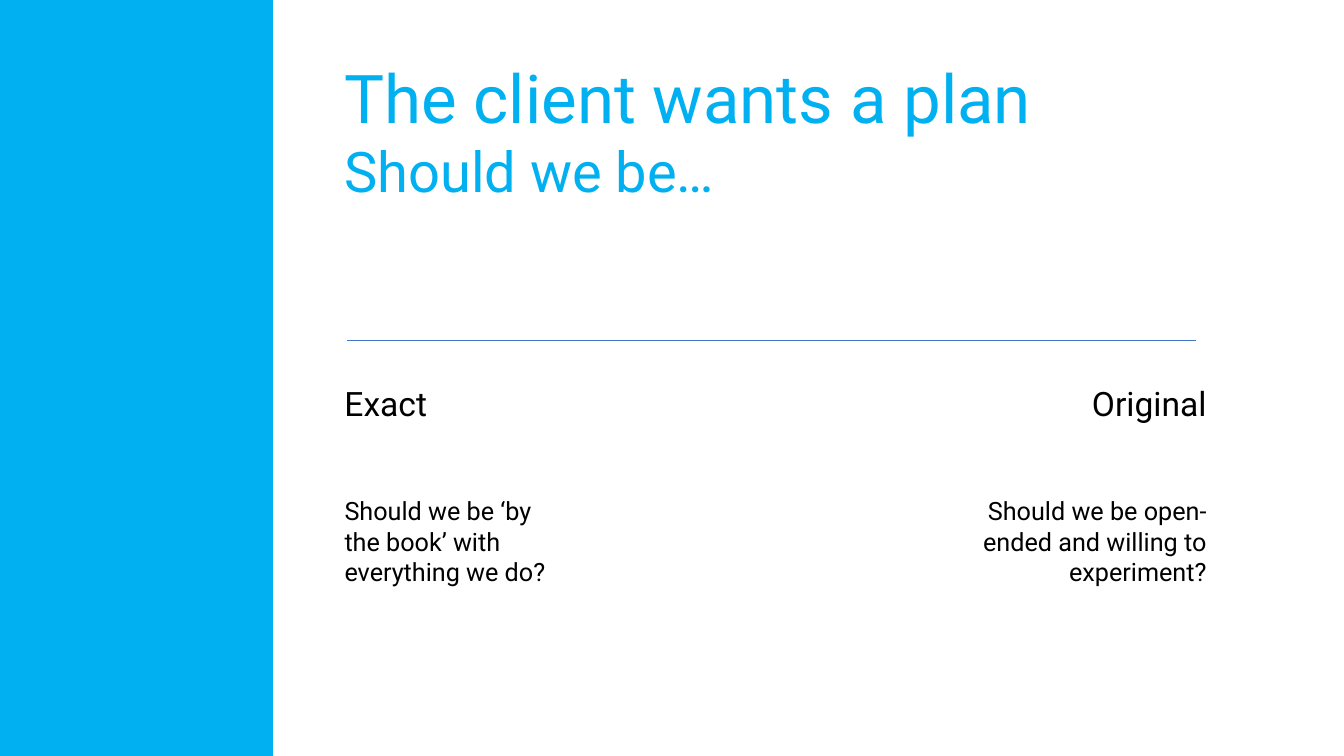
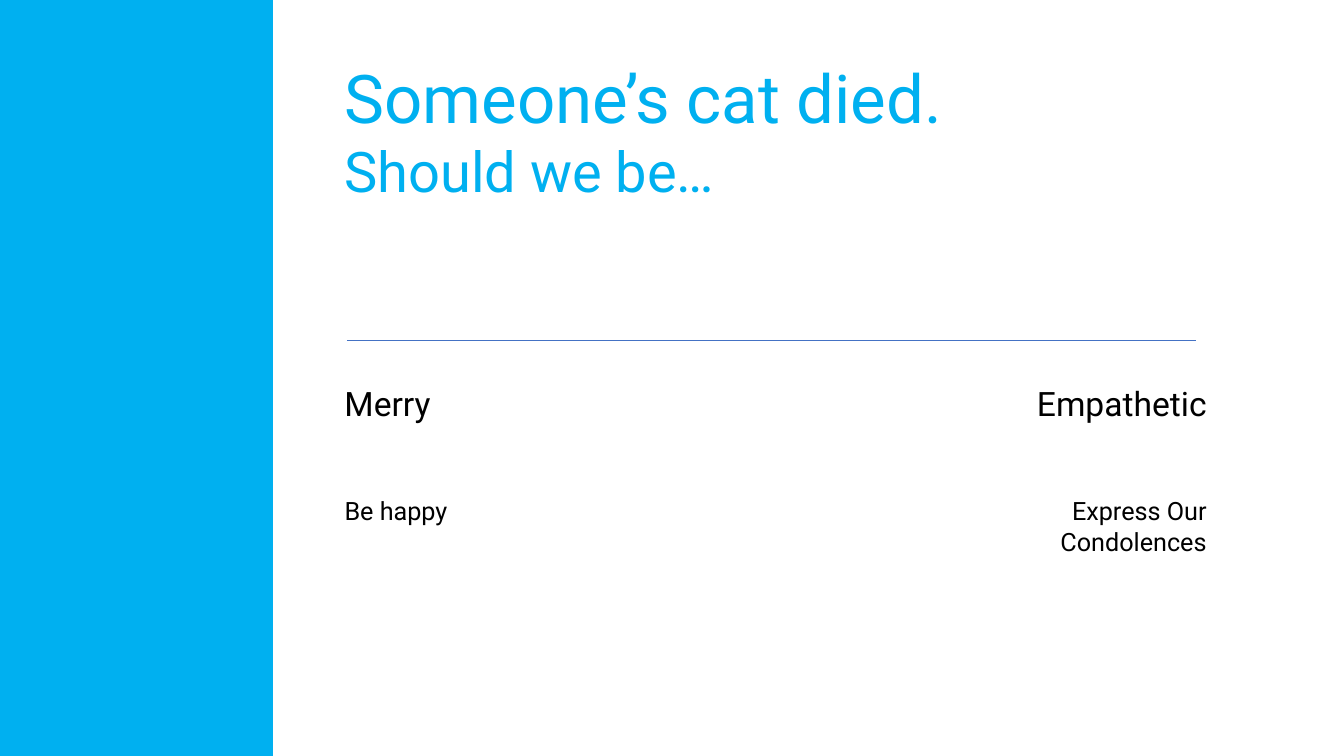
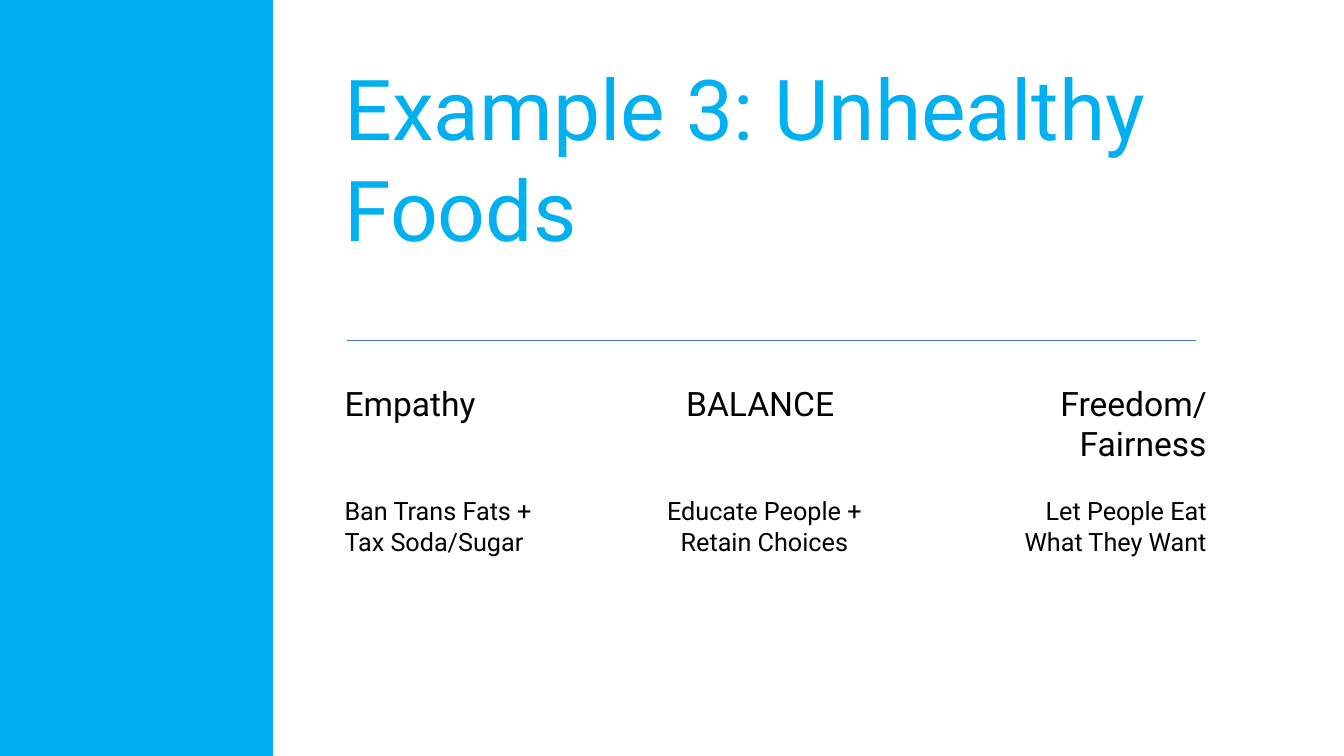
from pptx import Presentation
from pptx.dml.color import RGBColor
from pptx.enum.shapes import MSO_CONNECTOR as Connector, MSO_SHAPE as Shape
from pptx.enum.text import MSO_AUTO_SIZE as AutoSize, PP_ALIGN as Align
from pptx.oxml.ns import qn
from pptx.util import Pt
from lxml.etree import SubElement

SKY, RULE, BLACK = "00B0F0", "4472C4", "000000"
FONT = "Roboto"
PAGE_WIDTH, PAGE_HEIGHT = 960, 540
BAND_WIDTH = 195
LEFT, RIGHT = 239, 869
TITLE_TOP = 36.7
RULE_FROM, RULE_TO, RULE_TOP = 247.7, 854, 243.4
PADDING, LINE_FACTOR = 7.2, 1.2

HEADING = {"size": 24, "top": 270, "middle": 543}
BODY = {"size": 18, "top": 350.6, "middle": 546}
SIDES = {"left": (Align.LEFT, 0), "middle": (Align.CENTER, 0.5), "right": (Align.RIGHT, 1)}

SLIDES = [
    {
        "title": [("The client wants a plan", 48), ("Should we be…", 40)],
        "title_box": (670, 114),
        "columns": [
            ("left", ("Exact", 75, 1), ("Should we be ‘by the book’ with everything we do?", 162, 3)),
            ("right", ("Original", 127, 1),
             ("Should we be open-ended and willing to experiment?", 185, 3)),
        ],
    },
    {
        "title": [("Someone’s cat died.", 48), ("Should we be…", 40)],
        "title_box": (593, 114),
        "columns": [
            ("left", ("Merry", 78, 1), ("Be happy", 162, 1)),
            ("right", ("Empathetic", 158, 1), ("Express Our Condolences", 158, 2)),
        ],
    },
    {
        "title": [("Example 3: Unhealthy Foods", 60)],
        "title_box": (663, 153),
        "columns": [
            ("left", ("Empathy", 110, 1), ("Ban Trans Fats +\nTax Soda/Sugar", 162, 2)),
            ("middle", ("BALANCE", 122, 1), ("Educate People + Retain Choices", 162, 2)),
            ("right", ("Freedom/ Fairness", 127, 2), ("Let People Eat What They Want", 158, 2)),
        ],
    },
]


def color(value):
    """Turn a hex string into a colour."""
    return RGBColor.from_string(value)


def add_text(page, place, lines, ink, align=Align.LEFT):
    """Add a text box with one paragraph for each (text, size) line."""
    frame = page.shapes.add_textbox(*map(Pt, place)).text_frame
    frame.word_wrap = True
    frame.auto_size = AutoSize.SHAPE_TO_FIT_TEXT
    for index, (text, size) in enumerate(lines):
        para = frame.add_paragraph() if index else frame.paragraphs[0]
        para.alignment = align
        span = para.add_run()
        span.text = text
        for name, value in {"name": FONT, "size": Pt(size)}.items():
            setattr(span.font, name, value)
        span.font.color.rgb = color(ink)


def add_entry(page, side, style, text, width, rows):
    """Place a heading or body text against its column's edge or middle."""
    align, share = SIDES[side]
    anchor = {"left": LEFT, "middle": style["middle"], "right": RIGHT}[side]
    height = rows * style["size"] * LINE_FACTOR + 2 * PADDING
    place = (anchor - share * width, style["top"], width, height)
    add_text(page, place, [(line, style["size"]) for line in text.split("\n")], BLACK, align)


def add_band(page):
    """Add the coloured band down the left edge."""
    band = page.shapes.add_shape(Shape.RECTANGLE, 0, 0, Pt(BAND_WIDTH), Pt(PAGE_HEIGHT))
    band.shadow.inherit = False
    band.fill.solid()
    band.fill.fore_color.rgb = color(SKY)
    band.line.fill.background()


def add_rule(page):
    """Add the thin line under the title."""
    ends = map(Pt, (RULE_FROM, RULE_TOP, RULE_TO, RULE_TOP))
    rule = page.shapes.add_connector(Connector.STRAIGHT, *ends)
    rule.line.color.rgb = color(RULE)
    rule.line.width = Pt(0.5)
    SubElement(rule._element.spPr, qn("a:effectLst"))


def main():
    """Build and save the deck."""
    deck = Presentation()
    deck.slide_width, deck.slide_height = Pt(PAGE_WIDTH), Pt(PAGE_HEIGHT)
    for content in SLIDES:
        page = deck.slides.add_slide(deck.slide_layouts[6])
        add_text(page, (LEFT, TITLE_TOP, *content["title_box"]), content["title"], SKY)
        add_band(page)
        add_rule(page)
        for side, heading, body in content["columns"]:
            add_entry(page, side, HEADING, *heading)
            add_entry(page, side, BODY, *body)
    deck.save("out.pptx")


if __name__ == "__main__":
    main()
